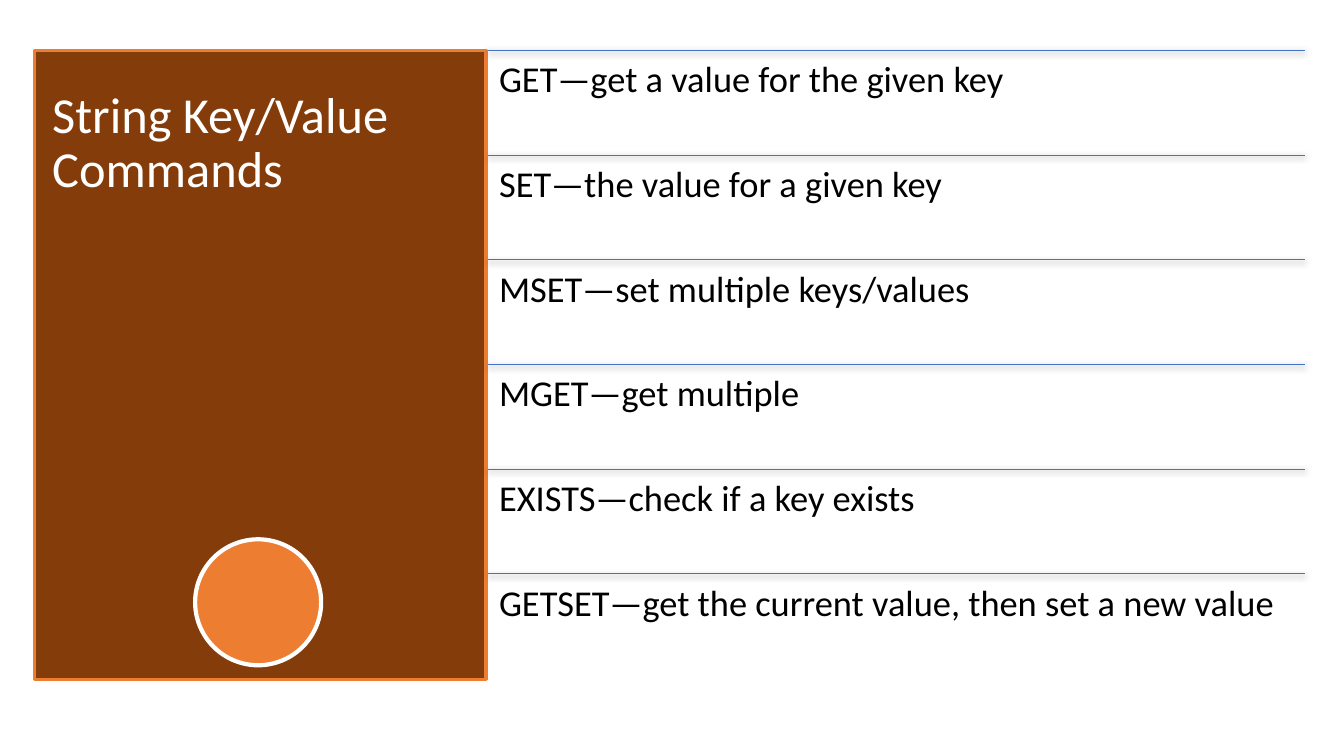
import pptx
import pptx.util
import pptx.dml.color
import pptx.enum.shapes
import pptx.enum.text
import pptx.oxml
import pptx.oxml.ns

Inches = pptx.util.Inches
Pt = pptx.util.Pt
MSO_SHAPE = pptx.enum.shapes.MSO_SHAPE
ANCHOR = pptx.enum.text.MSO_ANCHOR

COMMANDS = [
    "GET—get a value for the given key",
    "SET—the value for a given key",
    "MSET—set multiple keys/values",
    "MGET—get multiple",
    "EXISTS—check if a key exists",
    "GETSET—get the current value, then set a new value",
]

SHADOW = (
    f"<a:effectLst {pptx.oxml.ns.nsdecls('a')}>"
    '<a:outerShdw blurRad="57150" dist="19050" dir="5400000" algn="ctr" rotWithShape="0">'
    '<a:srgbClr val="000000"><a:alpha val="63000"/></a:srgbClr>'
    "</a:outerShdw></a:effectLst>"
)


def rgb(color):
    return pptx.dml.color.RGBColor.from_string(color)


def add_filled_shape(s, kind, x, y, w, h, fill, line, line_width):
    sp = s.shapes.add_shape(kind, Inches(x), Inches(y), Inches(w), Inches(h))
    sp.shadow.inherit = False
    sp.fill.solid()
    sp.fill.fore_color.rgb = rgb(fill)
    sp.line.color.rgb = rgb(line)
    sp.line.width = Pt(line_width)


def add_text(s, text, x, y, w, h, size, color, anchor, inset_x, inset_y):
    sp = s.shapes.add_textbox(Inches(x), Inches(y), Inches(w), Inches(h))
    tf = sp.text_frame
    tf.word_wrap = True
    tf.vertical_anchor = anchor
    tf.margin_left = tf.margin_right = Inches(inset_x)
    tf.margin_top = tf.margin_bottom = Inches(inset_y)
    tf.text = text
    p = tf.paragraphs[0]
    p.line_spacing = 0.9
    font = p.runs[0].font
    font.name = "Calibri"
    font.size = Pt(size)
    font.color.rgb = rgb(color)


def add_rule(s, x, y, w):
    """Draw a thin horizontal line with a soft shadow below it."""
    line = s.shapes.add_connector(
        pptx.enum.shapes.MSO_CONNECTOR.STRAIGHT,
        Inches(x), Inches(y), Inches(x + w), Inches(y))
    line.line.color.rgb = rgb("4472C4")
    line.line.width = Pt(0.5)
    line._element.spPr.append(pptx.oxml.parse_xml(SHADOW))


def add_title_panel(s, x, y, w, h):
    add_filled_shape(s, MSO_SHAPE.RECTANGLE, x, y, w, h, "843C0B", "ED7D31", 2.25)
    dot = 1.25
    add_filled_shape(s, MSO_SHAPE.FLOWCHART_CONNECTOR, x + (w - dot) / 2 - 0.02,
                     y + h - dot - 0.14, dot, dot, "ED7D31", "FFFFFF", 3)
    add_text(s, "String Key/Value Commands", x + 0.08, y + 0.11, w - 0.21, 1.64,
             36, "FFFFFF", ANCHOR.MIDDLE, 0.1, 0.05)


def add_command_list(s, x, y, w, h):
    row_h = h / len(COMMANDS)
    for i, command in enumerate(COMMANDS):
        top = y + i * row_h
        add_rule(s, x, top, w)
        add_text(s, command, x, top, w, row_h, 26, "000000", ANCHOR.TOP, 0.11, 0.11)


def main():
    prs = pptx.Presentation()
    prs.slide_width, prs.slide_height = Inches(13.33), Inches(7.5)
    s = prs.slides.add_slide(prs.slide_layouts[6])
    add_title_panel(s, 0.34, 0.5, 4.48, 6.24)
    add_command_list(s, 4.84, 0.5, 8.1, 6.23)
    prs.save("out.pptx")


if __name__ == "__main__":
    main()
